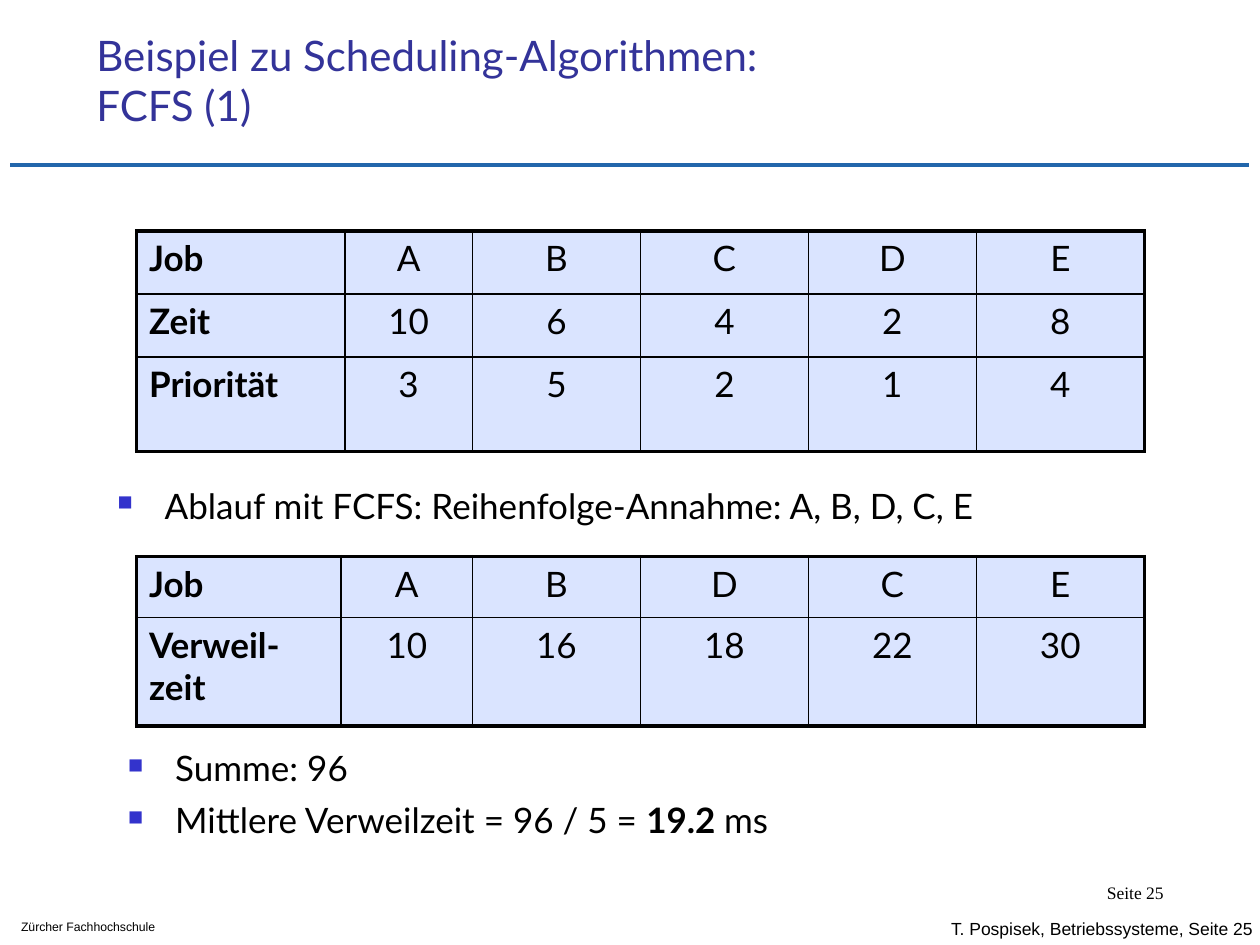
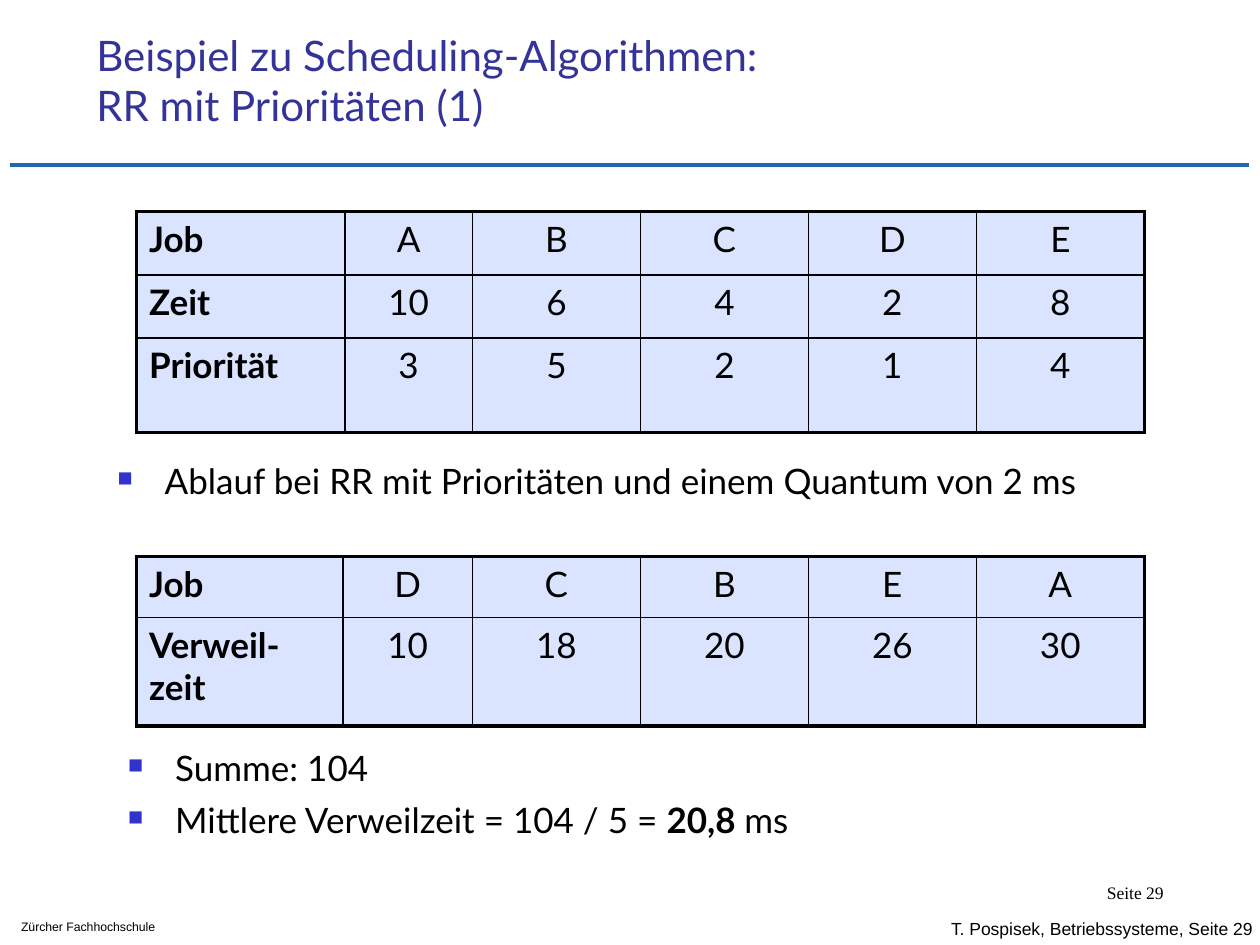
from dataclasses import dataclass

from lxml import etree
from pptx import Presentation
from pptx.dml.color import RGBColor
from pptx.enum.shapes import MSO_CONNECTOR
from pptx.enum.text import MSO_ANCHOR, PP_ALIGN
from pptx.oxml.ns import qn
from pptx.util import Pt

LEFT, MID, RIGHT = PP_ALIGN.LEFT, PP_ALIGN.CENTER, PP_ALIGN.RIGHT
TOP, CENTRE, BASE = MSO_ANCHOR.TOP, MSO_ANCHOR.MIDDLE, MSO_ANCHOR.BOTTOM
LINE = MSO_CONNECTOR.STRAIGHT

HEAD = "Beispiel zu Scheduling-Algorithmen: "
SCHOOL = "Zürcher Fachhochschule"
JOBS = [
    ["Job", "A", "B", "C", "D", "E"],
    ["Zeit", "10", "6", "4", "2", "8"],
    ["Priorität", "3", "5", "2", "1", "4"],
]
PAGES = [
    {
        "page": 25, "name": "FCFS (1)", "top": 132, "first": 117,
        "note": "Ablauf mit FCFS: Reihenfolge-Annahme: A, B, D, C, E",
        "spot": (60, 276, 668, 30),
        "order": ["A", "B", "D", "C", "E"],
        "times": [10, 16, 18, 22, 30], "mean": "19.2",
    },
    {
        "page": 29, "name": "RR mit Prioritäten (1)", "top": 121, "first": 118,
        "note": "Ablauf bei RR mit Prioritäten und einem Quantum von 2 ms",
        "spot": (60, 262, 594, 30),
        "order": ["D", "C", "B", "E", "A"],
        "times": [10, 18, 20, 26, 30], "mean": "20,8",
    },
]


@dataclass(frozen=True)
class Theme:
    ink: str = "000000"
    title: str = "333399"
    rule: str = "2266AB"
    mark: str = "3333CC"
    cell: str = "DAE4FF"
    main: str = "Lato"
    foot: str = "Arial"
    serif: str = "Times New Roman"
    big: float = 24
    body: float = 20
    small: float = 10
    tiny: float = 7
    thick: float = 2.21
    thin: float = 0.96


T = Theme()
WIDE, FIRST, REST = 576, 119, 96


def add_tag(node, tag, **attrs):
    return etree.SubElement(node, qn(tag), attrs)


def add_mark(para):
    props = para._p.get_or_add_pPr()
    props.set("marL", str(Pt(27)))
    props.set("indent", str(-Pt(27)))
    add_tag(add_tag(props, "a:buClr"), "a:srgbClr", val=T.mark)
    add_tag(props, "a:buSzPct", val="60000")
    add_tag(props, "a:buChar", char="■")
    para.line_spacing = 0.9


def write(frame, paras, size=T.body, font=T.main, color=T.ink, bold=False,
          align=LEFT, anchor=TOP, wrap=True, mark=False):
    frame.word_wrap = wrap
    frame.vertical_anchor = anchor
    for i, runs in enumerate(paras):
        para = frame.paragraphs[0] if i == 0 else frame.add_paragraph()
        para.alignment = align
        if mark:
            add_mark(para)
            if i:
                para.space_before = Pt(8)
        for text, strong in [(runs, bold)] if isinstance(runs, str) else runs:
            for j, part in enumerate(text.split("\n")):
                if j:
                    para.add_line_break()
                run = para.add_run()
                run.text = part
                run.font.size, run.font.name = Pt(size), font
                run.font.bold = strong
                run.font.color.rgb = RGBColor.from_string(color)


def add_box(slide, spot, paras, **look):
    box = slide.shapes.add_textbox(*map(Pt, spot))
    write(box.text_frame, paras, **look)


def add_edge(cell, side, width):
    edge = add_tag(cell._tc.get_or_add_tcPr(), "a:ln" + side, w=str(Pt(width)))
    add_tag(add_tag(edge, "a:solidFill"), "a:srgbClr", val=T.ink)


def add_grid(slide, top, rows, highs, first):
    last, end = len(rows) - 1, len(rows[0]) - 1
    widths = [first, WIDE - first - REST * (end - 1)] + [REST] * (end - 1)
    spot = (78, top, WIDE, sum(highs))
    grid = slide.shapes.add_table(last + 1, end + 1, *map(Pt, spot)).table
    grid.first_row = grid.horz_banding = False
    for col, width in zip(grid.columns, widths):
        col.width = Pt(width)
    for r, row in enumerate(rows):
        grid.rows[r].height = Pt(highs[r])
        for c, text in enumerate(row):
            cell = grid.cell(r, c)
            rims = {"L": c == 0, "R": c == end, "T": r == 0, "B": r == last}
            for side, outer in rims.items():
                add_edge(cell, side, T.thick if outer else T.thin)
            cell.fill.solid()
            cell.fill.fore_color.rgb = RGBColor.from_string(T.cell)
            write(cell.text_frame, [text], bold=c == 0,
                  align=MID if c else LEFT)


def add_frame(slide, page, name):
    rule = slide.shapes.add_connector(LINE, Pt(6), Pt(94.4), Pt(714), Pt(94.4))
    rule.line.width = Pt(2.5)
    rule.line.color.rgb = RGBColor.from_string(T.rule)
    add_tag(rule._element.spPr, "a:effectLst")
    add_box(slide, (536.4, 518.4, 247, 24),
            [f"T. Pospisek, Betriebssysteme, Seite {page}"],
            size=T.small, font=T.foot, anchor=CENTRE)
    add_box(slide, (5, 522, 124, 16), [SCHOOL], size=T.tiny, font=T.foot)
    add_box(slide, (522, 492, 150, 36), [f"Seite {page}"], size=T.small,
            font=T.serif, align=RIGHT, anchor=CENTRE, wrap=False)
    add_box(slide, (48, 24, 613.5, 54), [f"{HEAD}\n{name}"], size=T.big,
            color=T.title, anchor=BASE)


def add_page(deck, data):
    slide = deck.slides.add_slide(deck.slide_layouts[6])
    add_frame(slide, data["page"], data["name"])
    add_grid(slide, data["top"], JOBS, [36, 36, 54], FIRST)
    stay = [["Job"] + data["order"],
            ["Verweil-zeit"] + [str(t) for t in data["times"]]]
    add_grid(slide, 318, stay, [35, 62], data["first"])
    add_box(slide, data["spot"], [data["note"]], mark=True)
    total, count = sum(data["times"]), len(data["times"])
    mean = [(f"Mittlere Verweilzeit = {total} / {count} = ", False),
            (data["mean"] + " ", True), ("ms", False)]
    add_box(slide, (66, 426, 594, 30), [f"Summe: {total}", mean], mark=True)


def main():
    deck = Presentation()
    deck.slide_width, deck.slide_height = Pt(720), Pt(540)
    for data in PAGES:
        add_page(deck, data)
    deck.save("out.pptx")


if __name__ == "__main__":
    main()
